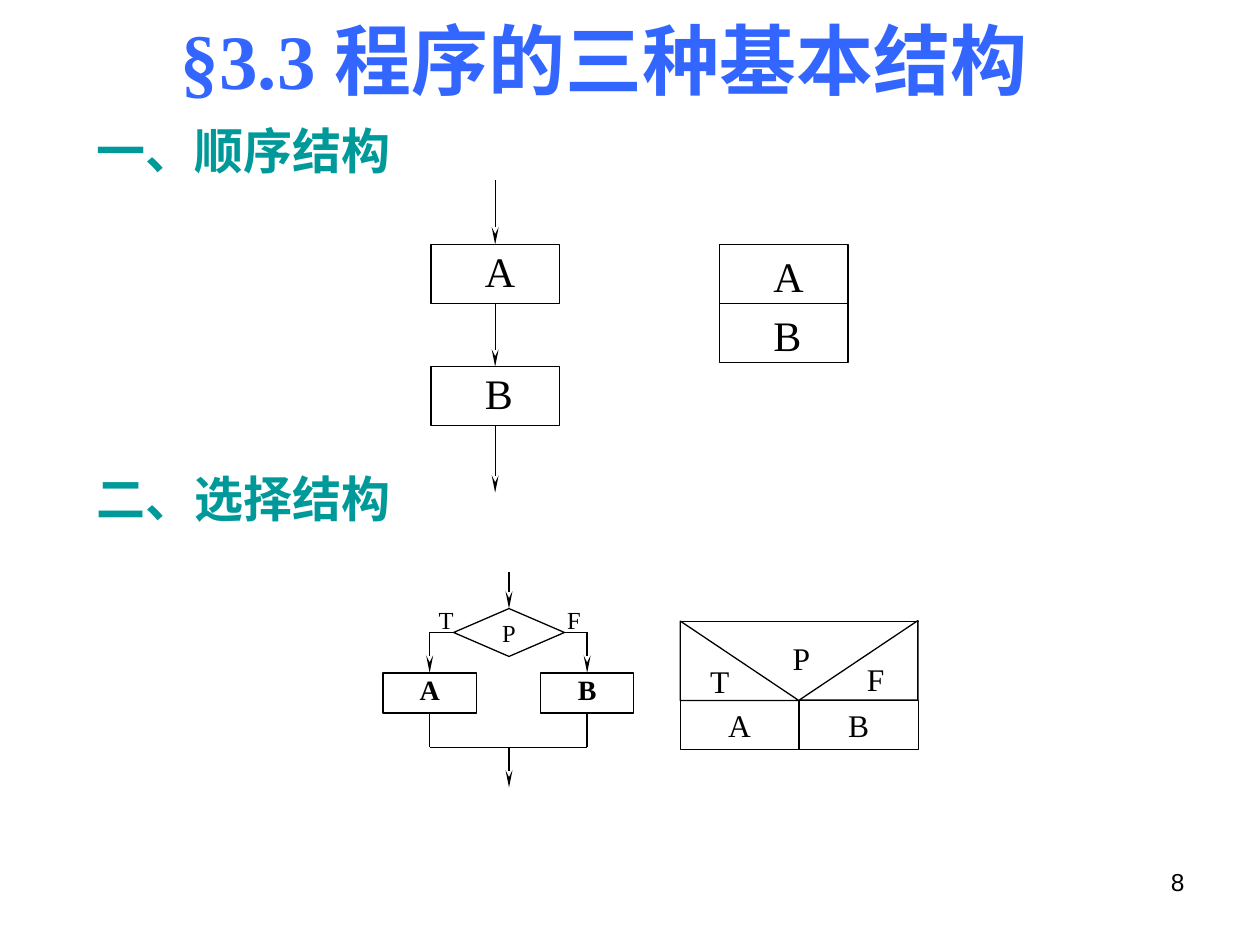
"""Build a slide on sequence and selection structures with flowcharts and box diagrams."""
from lxml.etree import SubElement
from pptx import Presentation
from pptx.dml.color import RGBColor
from pptx.enum.shapes import MSO_CONNECTOR, MSO_SHAPE
from pptx.enum.text import MSO_ANCHOR, MSO_AUTO_SIZE, PP_ALIGN
from pptx.oxml.ns import qn
from pptx.util import Inches, Pt

SERIF = "Times New Roman"
BLACK, BLUE, TEAL = "000000", "3366FF", "009999"
TOP, LEFT, BOTTOM, RIGHT = range(4)

TITLE = ("§3.3 程序的三种基本结构", (1.06, 0.05, 7.48, 0.84))
HEADINGS = [("一、顺序结构", 0.91), ("二、选择结构", 3.67)]
LABELS = [
    ("T", (3.38, 4.75, 0.32, 0.34), 14),
    ("F", (4.4, 4.75, 0.31, 0.34), 14),
    ("F", (6.79, 5.19, 0.32, 0.4), 18),
    ("P", (6.19, 5.02, 0.34, 0.4), 18),
]

STEP = dict(size=24, anchor=MSO_ANCHOR.TOP, margins=(0.1, 0.01),
            align=PP_ALIGN.LEFT, indent=0.33)
STACK = dict(STEP, margins=(0.1, 0.05))
BRANCH = dict(size=16, bold=True, anchor=MSO_ANCHOR.TOP)
CELL = dict(size=18, margins=(0.1, 0.05), wrap=False)
RECT, TRIANGLE = MSO_SHAPE.RECTANGLE, MSO_SHAPE.RIGHT_TRIANGLE
SHAPES = [
    ("step A", RECT, "A", (3.42, 1.94, 1.02, 0.47), STEP),
    ("step B", RECT, "B", (3.42, 2.91, 1.02, 0.47), STEP),
    ("stack A", RECT, "A", (5.71, 1.94, 1.02, 0.47), STACK),
    ("stack B", RECT, "B", (5.71, 2.41, 1.02, 0.47), STACK),
    ("decision", MSO_SHAPE.FLOWCHART_DECISION, "P", (3.6, 4.83, 0.88, 0.38), dict(size=14)),
    ("branch A", RECT, "A", (3.04, 5.34, 0.74, 0.32), BRANCH),
    ("branch B", RECT, "B", (4.29, 5.34, 0.74, 0.32), BRANCH),
    ("cell A", RECT, "A", (5.4, 5.56, 0.94, 0.39), CELL),
    ("cell B", RECT, "B", (6.34, 5.56, 0.95, 0.39), CELL),
    ("true corner", TRIANGLE, "T", (5.4, 4.93, 0.94, 0.63),
     dict(size=18, margins=(0.02, 0.01), wrap=False)),
    ("false corner", TRIANGLE, "", (6.5, 4.77, 0.63, 0.94), dict(rotation=270)),
]

ARROWS = [
    ((3.93, 1.43), ("step A", TOP)),
    (("step A", BOTTOM), ("step B", TOP)),
    (("step B", BOTTOM), (3.93, 3.91)),
    ((4.04, 4.54), ("decision", TOP)),
    ((3.41, 5.02), ("branch A", TOP)),
    ((4.66, 5.02), ("branch B", TOP)),
    ((4.04, 5.93), (4.04, 6.25)),
]
LINES = [
    (("decision", LEFT), (3.41, 5.02)),
    (("decision", RIGHT), (4.66, 5.02)),
    (("branch A", BOTTOM), (3.41, 5.93)),
    (("branch B", BOTTOM), (4.66, 5.93)),
    ((3.41, 5.93), (4.66, 5.93)),
    ((5.4, 4.93), (7.29, 4.93)),
]


def color(hex_text):
    return RGBColor.from_string(hex_text)


def write(shape, text, size, ink=BLACK, font=SERIF, bold=False, align=PP_ALIGN.CENTER,
          anchor=MSO_ANCHOR.TOP, margins=(0.1, 0.05), wrap=True, indent=0):
    frame = shape.text_frame
    frame.text = text
    frame.auto_size = MSO_AUTO_SIZE.NONE
    frame.word_wrap = wrap
    frame.vertical_anchor = anchor
    frame.margin_left = frame.margin_right = Inches(margins[0])
    frame.margin_top = frame.margin_bottom = Inches(margins[1])
    para = frame.paragraphs[0]
    para.alignment = align
    if indent:
        para._p.get_or_add_pPr().set("marL", str(Inches(indent)))
    for span in para.runs:
        span.font.name, span.font.size, span.font.bold = font, Pt(size), bold
        span.font.color.rgb = color(ink)


def add_label(page, text, place, size, **style):
    box = page.shapes.add_textbox(*map(Inches, place))
    write(box, text, size, **style)


def add_block(page, kind, text, place, size=18, rotation=0,
              anchor=MSO_ANCHOR.MIDDLE, margins=(0, 0), **style):
    block = page.shapes.add_shape(kind, *map(Inches, place))
    block.rotation = rotation
    block.shadow.inherit = False
    block.fill.background()
    block.line.color.rgb = color(BLACK)
    block.line.width = Pt(0.75)
    if text:
        write(block, text, size, anchor=anchor, margins=margins, **style)
    return block


def locate(point, blocks):
    """Return the position of a free point or of the middle of a block's side."""
    if point[0] not in blocks:
        return tuple(map(Inches, point))
    block, side = blocks[point[0]], point[1]
    across = {LEFT: 0, RIGHT: block.width}.get(side, block.width // 2)
    down = {TOP: 0, BOTTOM: block.height}.get(side, block.height // 2)
    return block.left + across, block.top + down


def add_line(page, blocks, start, end, arrow=False):
    line = page.shapes.add_connector(
        MSO_CONNECTOR.STRAIGHT, *locate(start, blocks), *locate(end, blocks))
    for point, connect in ((start, line.begin_connect), (end, line.end_connect)):
        if point[0] in blocks:
            connect(blocks[point[0]], point[1])
    line.line.color.rgb = color(BLACK)
    line.line.width = Pt(0.75)
    if arrow:
        SubElement(line.line._get_or_add_ln(), qn("a:tailEnd"), type="stealth", w="sm", len="lg")
    SubElement(line._element.spPr, qn("a:effectLst"))


def main():
    deck = Presentation()
    deck.slide_width, deck.slide_height = Inches(10), Inches(7.5)
    page = deck.slides.add_slide(deck.slide_layouts[5])

    text, place = TITLE
    title = page.shapes.title
    title.left, title.top, title.width, title.height = map(Inches, place)
    write(title, text, 44, ink=BLUE, bold=True)
    for text, top in HEADINGS:
        add_label(page, text, (0.67, top, 3.23, 0.57), 28, ink=TEAL, bold=True,
                  align=PP_ALIGN.LEFT)

    blocks = {}
    for name, kind, text, place, style in SHAPES:
        blocks[name] = add_block(page, kind, text, place, **style)
    for start, end in ARROWS:
        add_line(page, blocks, start, end, arrow=True)
    for start, end in LINES:
        add_line(page, blocks, start, end)
    for text, place, size in LABELS:
        add_label(page, text, place, size, wrap=False)
    add_label(page, "8", (7.17, 6.83, 2.33, 0.52), 14, font="Arial", align=PP_ALIGN.RIGHT)

    deck.save("out.pptx")


if __name__ == "__main__":
    main()
